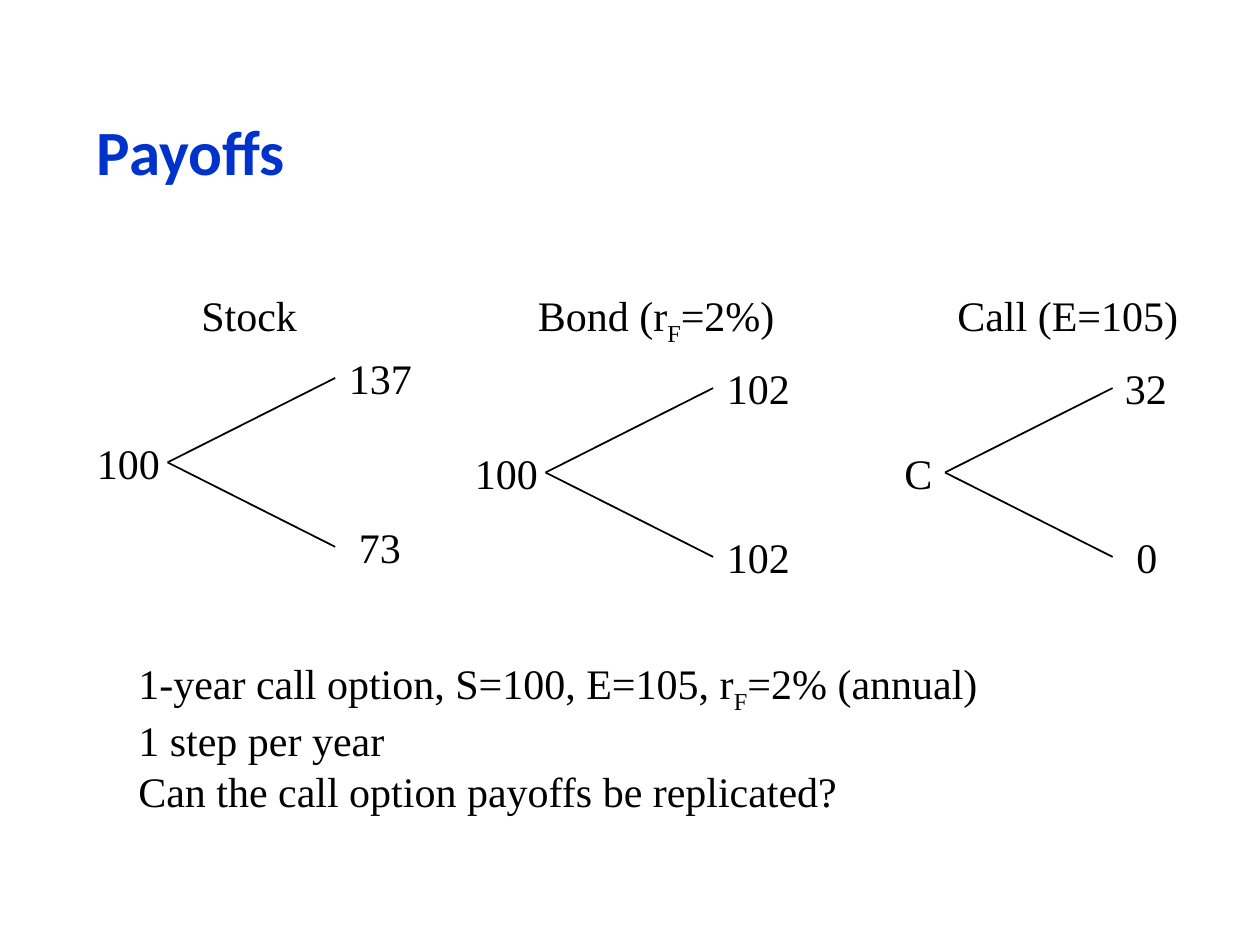
from pptx import Presentation
from pptx.dml.color import RGBColor
from pptx.enum.shapes import MSO_CONNECTOR
from pptx.enum.text import MSO_ANCHOR, MSO_AUTO_SIZE
from pptx.oxml.ns import qn
from pptx.util import Inches, Pt
from lxml.etree import SubElement

BLACK = "000000"
BLUE = "0033CC"


def paint(color_format, hex_color):
    color_format.rgb = RGBColor.from_string(hex_color)


def add_label(text, left, top, width, height=0.5):
    """Add 24 pt text; a part between underscores becomes a subscript."""
    label = slide.shapes.add_textbox(Inches(left), Inches(top), Inches(width), Inches(height))
    frame = label.text_frame
    frame.word_wrap = False
    frame.auto_size = MSO_AUTO_SIZE.SHAPE_TO_FIT_TEXT
    for number, line in enumerate(text.split("\n")):
        paragraph = frame.add_paragraph() if number else frame.paragraphs[0]
        for position, part in enumerate(line.split("_")):
            run = paragraph.add_run()
            run.text = part
            run.font.name = "Times New Roman"
            run.font.size = Pt(24)
            paint(run.font.color, BLACK)
            if position % 2:
                run.font._element.set("baseline", "-25000")


prs = Presentation()
prs.slide_width, prs.slide_height = Inches(10), Inches(7.5)
slide = prs.slides.add_slide(prs.slide_layouts[6])

title = slide.shapes.add_textbox(Inches(0.67), Inches(0.83), Inches(8.75), Inches(0.72))
title.text_frame.word_wrap = True
title.text_frame.vertical_anchor = MSO_ANCHOR.MIDDLE
title.text_frame.text = "Payoffs"
title_font = title.text_frame.paragraphs[0].runs[0].font
title_font.name, title_font.size, title_font.bold = "Calibri", Pt(36), True
paint(title_font.color, BLUE)

# Root of each tree (x, y), then (text, left, width) for heading, start, up and down
trees = [
    (1.33, 3.67, ("Stock", 1.5, 0.96),
     ("100", 0.67, 0.7), ("137", 2.67, 0.7), ("73", 2.75, 0.53)),
    (4.33, 3.75, ("Bond (r_F_=2%)", 4.17, 2.1),
     ("100", 3.67, 0.7), ("102", 5.67, 0.7), ("102", 5.67, 0.7)),
    (7.5, 3.75, ("Call (E=105)", 7.5, 1.95),
     ("C", 7.08, 0.42), ("32", 8.83, 0.53), ("0", 8.92, 0.37)),
]
BRANCH_RUN, BRANCH_RISE = 1.33, 0.67
LABEL_LIFT = 0.25

for root_x, root_y, (heading, heading_left, heading_width), start, up, down in trees:
    add_label(heading, heading_left, 2.25, heading_width)
    for rise in (-BRANCH_RISE, BRANCH_RISE):
        branch = slide.shapes.add_connector(
            MSO_CONNECTOR.STRAIGHT, Inches(root_x), Inches(root_y),
            Inches(root_x + BRANCH_RUN), Inches(root_y + rise))
        branch.line.width = Pt(1)
        paint(branch.line.color, BLACK)
        SubElement(branch._element.spPr, qn("a:effectLst"))
    for (value, left, width), rise in zip((start, up, down), (0, -BRANCH_RISE, BRANCH_RISE)):
        add_label(value, left, root_y + rise - LABEL_LIFT, width)

add_label("1-year call option, S=100, E=105, r_F_=2% (annual)\n"
          "1 step per year\n"
          "Can the call option payoffs be replicated?", 1, 5.17, 6.87, 1.3)

prs.save("out.pptx")
